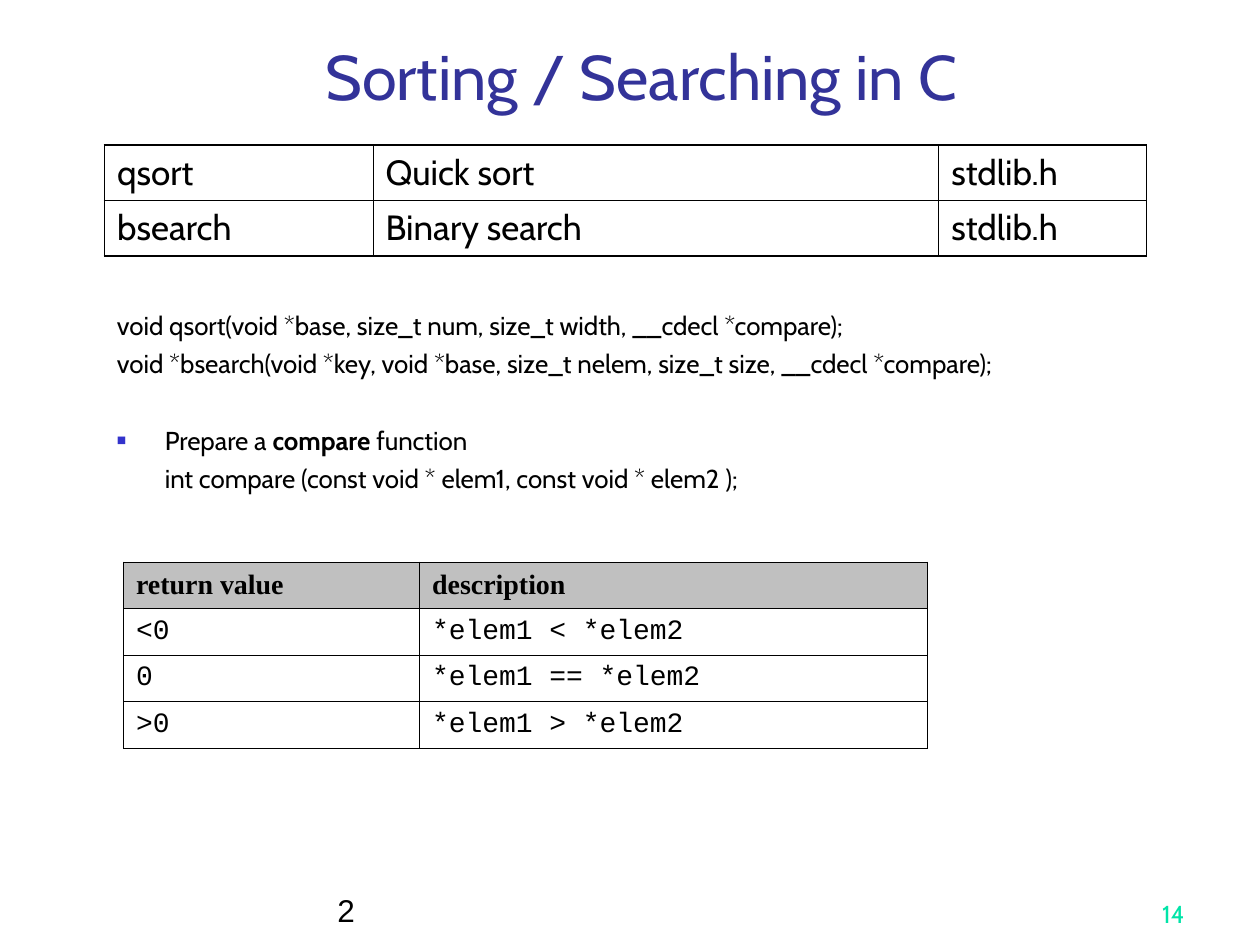
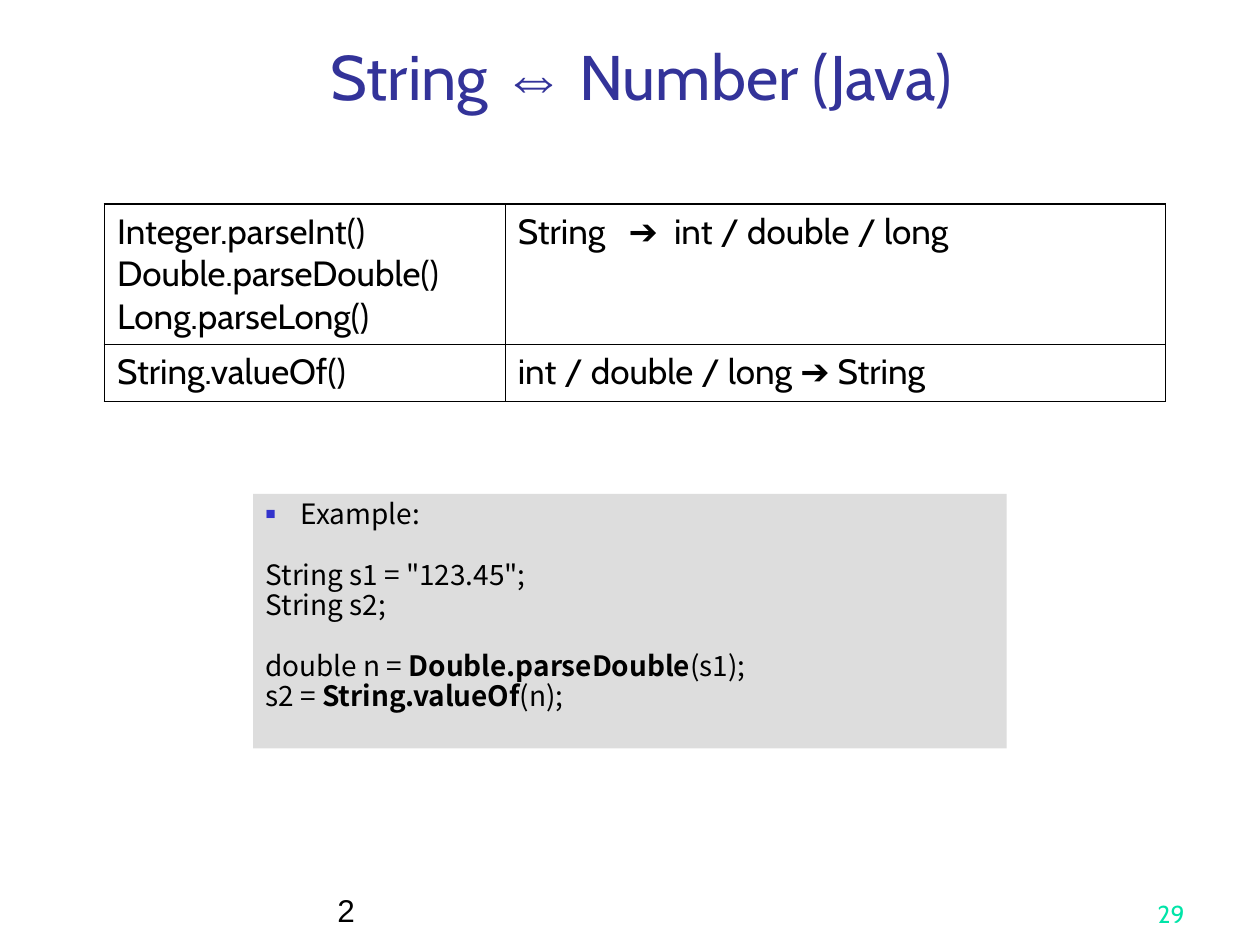
import pptx
import pptx.util
import pptx.dml.color
import pptx.enum.text
import pptx.enum.shapes
import pptx.oxml
import pptx.oxml.ns
import lxml.etree

Inches = pptx.util.Inches
Pt = pptx.util.Pt
ALIGN = pptx.enum.text.PP_ALIGN
ANCHOR = pptx.enum.text.MSO_ANCHOR

COLORS = {
    "title": "333399",
    "text": "000000",
    "bullet": "3333CC",
    "number": "00E4A8",
    "header": "C0C0C0",
    "code": "DDDDDD",
}
BOLD = {"bold": True}
SYMBOL = {"name": "Arial"}
TITLE = {"name": "Cabin", "size": Pt(36)}
TABLE = {"name": "Cabin", "size": Pt(20)}
BODY = {"name": "Cabin", "size": Pt(14.8)}
CODE = {"name": "Noto Sans CJK SC", "size": Pt(16)}
HEADER = {"name": "Times New Roman", "size": Pt(16), "bold": True}
VALUE = {"name": "Courier New", "size": Pt(16)}
FOOTER = {"name": "Arial", "size": Pt(18)}
NUMBER = {"name": "Cabin", "size": Pt(14)}


def set_values(target, values):
    for name, value in values.items():
        setattr(target, name, value)


def rgb(color):
    return pptx.dml.color.RGBColor.from_string(COLORS[color])


def add_element(parent, tag, **attributes):
    element = lxml.etree.SubElement(parent, pptx.oxml.ns.qn(tag))
    for name, value in attributes.items():
        element.set(name, str(value))
    return element


def add_color(parent, color):
    add_element(parent, "a:srgbClr", val=COLORS[color])


def write_runs(paragraph, runs, font, color="text"):
    for item in [runs] if isinstance(runs, str) else runs:
        text, override = (item, {}) if isinstance(item, str) else item
        run = paragraph.add_run()
        run.text = text
        set_values(run.font, {**font, **override})
        run.font.color.rgb = rgb(color)


def get_paragraph(frame, index):
    return frame.paragraphs[0] if index == 0 else frame.add_paragraph()


def set_indent(paragraph, left, first):
    properties = paragraph._p.get_or_add_pPr()
    properties.set("marL", str(Inches(left)))
    properties.set("indent", str(Inches(first)))
    return properties


def add_bullet(paragraph, indent):
    properties = set_indent(paragraph, indent, -indent)
    add_color(add_element(properties, "a:buClr"), "bullet")
    add_element(properties, "a:buSzPct", val=60000)
    add_element(properties, "a:buFont", typeface="Arial")
    add_element(properties, "a:buChar", char="■")


def add_tabs(paragraph, positions):
    tabs = add_element(paragraph._p.get_or_add_pPr(), "a:tabLst")
    for position in positions:
        add_element(tabs, "a:tab", pos=Inches(position), algn="l")


def prepare_frame(frame, anchor):
    set_values(frame, {
        "word_wrap": True,
        "auto_size": pptx.enum.text.MSO_AUTO_SIZE.NONE,
        "vertical_anchor": anchor,
        "margin_left": Inches(0.1),
        "margin_right": Inches(0.1),
        "margin_top": Inches(0.05),
        "margin_bottom": Inches(0.05),
    })
    return frame


def add_text_box(slide, box, anchor=ANCHOR.TOP):
    shape = slide.shapes.add_textbox(*map(Inches, box))
    return prepare_frame(shape.text_frame, anchor)


def add_footer(slide, box, text, font, color, alignment):
    paragraph = add_text_box(slide, box, ANCHOR.BOTTOM).paragraphs[0]
    paragraph.alignment = alignment
    write_runs(paragraph, text, font, color)


def add_titled_slide(presentation, title_runs, page_number):
    slide = presentation.slides.add_slide(presentation.slide_layouts[5])
    title = slide.shapes.title
    set_values(title, dict(zip(("left", "top", "width", "height"),
                               map(Inches, (0.83, 0.21, 8.52, 0.74)))))
    paragraph = prepare_frame(title.text_frame, ANCHOR.BOTTOM).paragraphs[0]
    paragraph.alignment = ALIGN.CENTER
    write_runs(paragraph, title_runs, TITLE, "title")
    add_footer(slide, (2.58, 6.92, 5.42, 0.5), "2", FOOTER, "text", ALIGN.LEFT)
    add_footer(slide, (7.42, 6.92, 2.08, 0.5), page_number, NUMBER, "number", ALIGN.RIGHT)
    return slide


def add_borders(cell, edges, outer, inner):
    properties = cell._tc.get_or_add_tcPr()
    for side, is_outer in zip("LRTB", edges):
        line = add_element(properties, f"a:ln{side}", w=Pt(outer if is_outer else inner))
        add_color(add_element(line, "a:solidFill"), "text")


def add_grid(slide, left, top, widths, heights, rows, font, outer, inner,
             header=None, anchor=ANCHOR.TOP):
    frame = slide.shapes.add_table(len(heights), len(widths), Inches(left), Inches(top),
                                   Inches(sum(widths)), Inches(sum(heights)))
    table = frame.table
    set_values(table, {"first_row": header is not None, "horz_banding": False})
    for column, width in zip(table.columns, widths):
        column.width = Inches(width)
    for row, height in zip(table.rows, heights):
        row.height = Inches(height)
    for i, row in enumerate(rows):
        for j, lines in enumerate(row):
            cell = table.cell(i, j)
            edges = (j == 0, j == len(widths) - 1, i == 0, i == len(rows) - 1)
            add_borders(cell, edges, outer, inner)
            is_header = header is not None and i == 0
            if is_header:
                cell.fill.solid()
                cell.fill.fore_color.rgb = rgb("header")
            else:
                cell.fill.background()
            cell.vertical_anchor = anchor
            for k, runs in enumerate(lines if isinstance(lines, list) else [lines]):
                write_runs(get_paragraph(cell.text_frame, k), runs,
                           header if is_header else font)
    return table


def add_prototypes(slide, box):
    frame = add_text_box(slide, box)
    lines = [
        ("void qsort(void *base, size_t num, size_t width, __cdecl *compare);", 0),
        ("void *bsearch(void *key, void *base, size_t nelem, size_t size, __cdecl *compare);", 4),
        (("Prepare a ", ("compare ", BOLD), "function"), 26),
        ("int compare (const void * elem1, const void * elem2 );", 4),
    ]
    for index, (runs, space) in enumerate(lines):
        paragraph = get_paragraph(frame, index)
        if index == 2:
            add_bullet(paragraph, 0.38)
        elif index == 3:
            set_indent(paragraph, 0.38, 0)
        else:
            set_indent(paragraph, 0.38, -0.38)
        paragraph.space_before = Pt(space)
        write_runs(paragraph, runs, BODY)


def add_example(slide, box):
    shape = slide.shapes.add_shape(pptx.enum.shapes.MSO_SHAPE.RECTANGLE, *map(Inches, box))
    shape.shadow.inherit = False
    shape.fill.solid()
    shape.fill.fore_color.rgb = rgb("code")
    shape.line.fill.background()
    frame = prepare_frame(shape.text_frame, ANCHOR.TOP)
    pitch = 17.3
    lines = [
        ("Example:", 0),
        ('String s1 = "123.45";', pitch),
        ("String s2;", 0),
        (("double n = ", ("Double.parseDouble", BOLD), "(s1);"), pitch),
        (("s2 = ", ("String.valueOf", BOLD), "(n);"), 0),
    ]
    for index, (runs, space) in enumerate(lines):
        paragraph = get_paragraph(frame, index)
        if index == 0:
            add_bullet(paragraph, 0.28)
        set_values(paragraph, {"alignment": ALIGN.LEFT, "line_spacing": Pt(pitch),
                               "space_before": Pt(space)})
        write_runs(paragraph, runs, CODE)


def build_sorting_slide(presentation):
    slide = add_titled_slide(presentation, "Sorting / Searching in C", "14")
    functions = [("qsort", "Quick sort", "stdlib.h"),
                 ("bsearch", "Binary search", "stdlib.h")]
    add_grid(slide, 0.83, 1.15, (2.13, 4.49, 1.65), (0.44, 0.44), functions,
             TABLE, 1.08, 0.45)
    add_prototypes(slide, (0.83, 2.41, 8.5, 1.57))
    results = [("return value", "description")]
    results += [(f"{sign}0", f"*elem1 {operator} *elem2")
                for sign, operator in (("<", "<"), ("", "=="), (">", ">"))]
    add_grid(slide, 0.98, 4.46, (2.35, 4.03), [0.37] * 4, results,
             VALUE, 0.34, 0.34, HEADER, ANCHOR.MIDDLE)


def build_conversion_slide(presentation):
    slide = add_titled_slide(presentation, ("String ", ("⇔", SYMBOL), " Number (Java)"), "29")
    parsers = [f"{kind}.parse{target}()" for kind, target in
               (("Integer", "Int"), ("Double", "Double"), ("Long", "Long"))]
    arrow = ("➔", SYMBOL)
    conversions = [
        (parsers, ("String\t", arrow, "\tint / double / long")),
        ("String.valueOf()", ("int / double / long ", arrow, " String")),
    ]
    table = add_grid(slide, 0.83, 1.62, (3.18, 5.24), (1.11, 0.45), conversions,
                     TABLE, 1.08, 0.45)
    add_tabs(table.cell(0, 1).text_frame.paragraphs[0], (0.88, 1.24))
    add_example(slide, (2.01, 3.92, 5.98, 2.02))


def main():
    presentation = pptx.Presentation()
    presentation.slide_width = Inches(10)
    presentation.slide_height = Inches(7.5)
    build_sorting_slide(presentation)
    build_conversion_slide(presentation)
    presentation.save("out.pptx")


if __name__ == "__main__":
    main()
